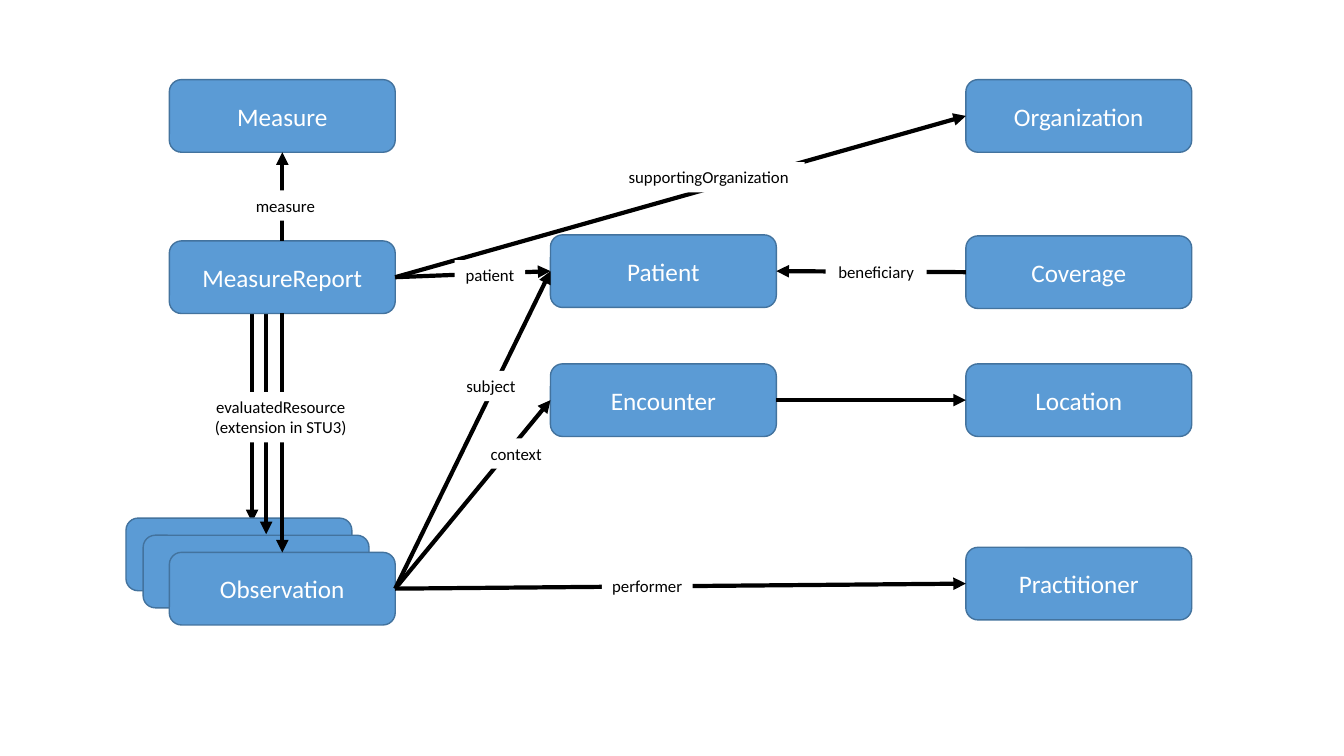
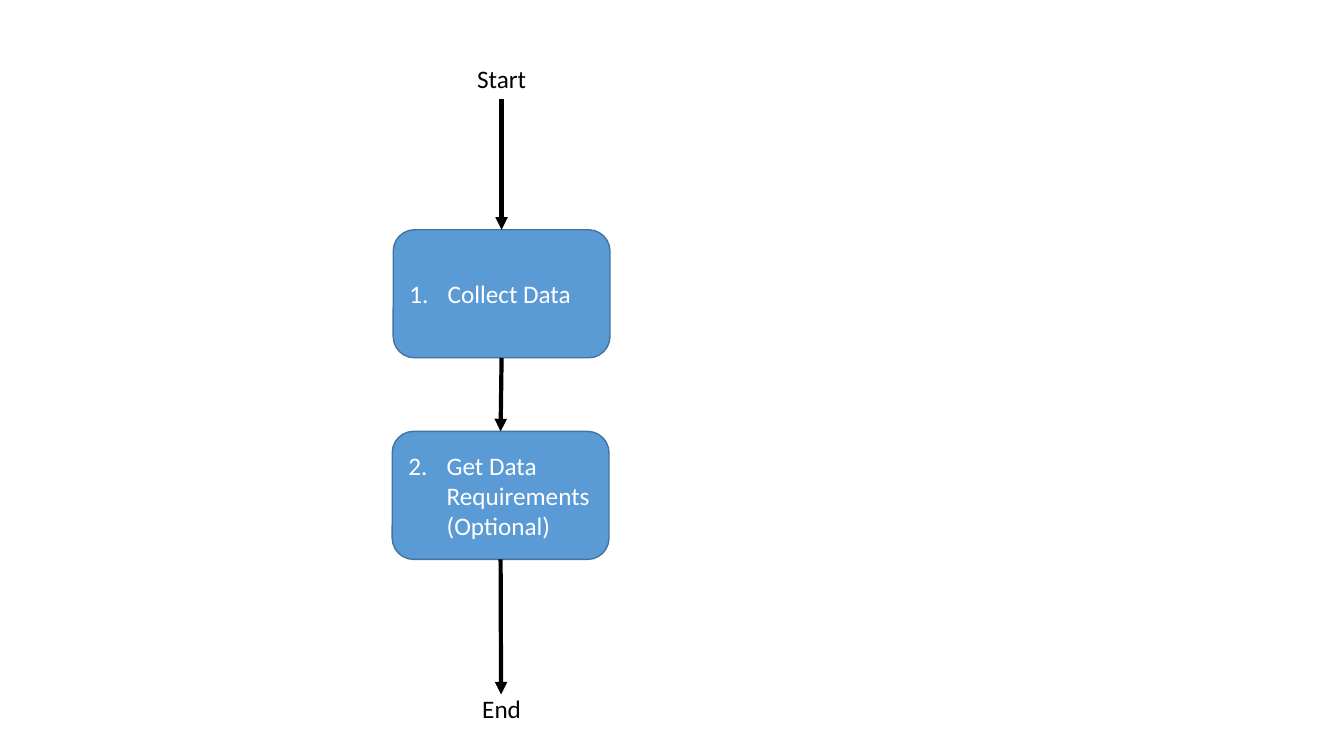
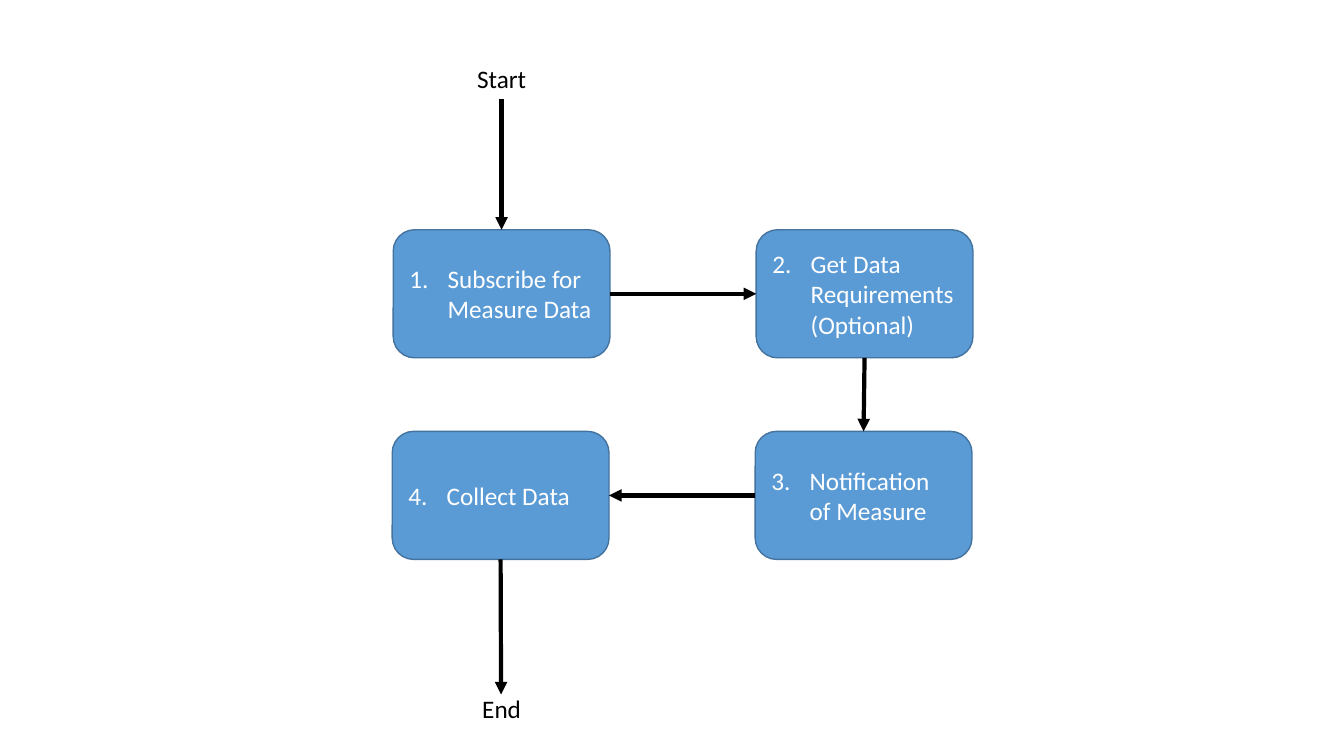
from dataclasses import dataclass

from lxml.etree import SubElement
from pptx import Presentation
from pptx.dml.color import RGBColor
from pptx.enum.shapes import MSO_CONNECTOR, MSO_SHAPE
from pptx.enum.text import MSO_ANCHOR, MSO_AUTO_SIZE, PP_ALIGN
from pptx.oxml.ns import qn
from pptx.util import Inches, Pt


@dataclass(frozen=True)
class Theme:
    font: str = "Calibri"
    body_size: float = 18
    label_size: float = 12
    box_fill: RGBColor = RGBColor(0x5B, 0x9B, 0xD5)
    box_line: RGBColor = RGBColor(0x43, 0x73, 0x9E)
    box_line_width: float = 1
    arrow_width: float = 3
    light: RGBColor = RGBColor(0xFF, 0xFF, 0xFF)
    dark: RGBColor = RGBColor(0x00, 0x00, 0x00)


THEME = Theme()
SLIDE_SIZE = (13.33, 7.5)
TOP, LEFT, BOTTOM, RIGHT = range(4)

RESOURCE_SIZE = (2.24, 0.72)
RESOURCE_COLUMNS = (1.68, 5.46, 9.58)
RESOURCES = {  # name: (column, top)
    "Coverage": (2, 2.34),
    "Organization": (2, 0.79),
    "Practitioner": (2, 5.43),
    "Observation": (0, 5.48),
    "Measure": (0, 0.79),
    "MeasureReport": (0, 2.39),
    "Patient": (1, 2.33),
    "Encounter": (1, 3.61),
    "Location": (2, 3.61),
}
HIDDEN_OBSERVATIONS = (  # box corner, arrow start, arrow end
    ((1.25, 5.14), (2.5, 2.81), (2.5, 5.18)),
    ((1.42, 5.31), (2.64, 2.93), (2.64, 5.3)),
)
REFERENCES = (
    ("MeasureReport", TOP, "Measure", BOTTOM),
    ("MeasureReport", BOTTOM, "Observation", TOP),
    ("MeasureReport", RIGHT, "Patient", LEFT),
    ("Observation", RIGHT, "Patient", LEFT),
    ("Observation", RIGHT, "Encounter", LEFT),
    ("Observation", RIGHT, "Practitioner", LEFT),
    ("Encounter", RIGHT, "Location", LEFT),
    ("Coverage", LEFT, "Patient", RIGHT),
    ("MeasureReport", RIGHT, "Organization", LEFT),
)
REFERENCE_LABELS = {
    "performer": (5.97, 5.66, 0.9, 0.3),
    "measure": (2.37, 1.89, 0.92, 0.3),
    "supportingOrganization": (6.08, 1.61, 1.9, 0.3),
    "subject": (4.52, 3.68, 0.7, 0.3),
    "patient": (4.51, 2.58, 0.7, 0.3),
    "beneficiary": (8.19, 2.55, 1, 0.3),
    "context": (4.72, 4.35, 0.8, 0.3),
    "evaluatedResource (extension in STU3)": (1.98, 3.89, 1.61, 0.5),
}

STEP_SIZE = (2.15, 1.27)
STEP_COLUMNS = (3.9, 7.5)
STEP_ROWS = (2.28, 4.28)
END_ARROW_TIP = (4.97, 6.89)
OPTIONAL_STEP = "Get Data Requirements\v(Optional)"


def write_text(shape, text, size, color, align):
    frame = shape.text_frame
    frame.word_wrap = True
    frame.text = text
    para = frame.paragraphs[0]
    para.alignment = align
    for span in para.runs:
        for name, value in {"name": THEME.font, "size": Pt(size)}.items():
            setattr(span.font, name, value)
        span.font.color.rgb = color
    return para


def add_box(slide, text, corner, size, align=PP_ALIGN.CENTER):
    """Add a rounded blue box and return it with its paragraph."""
    box = slide.shapes.add_shape(MSO_SHAPE.ROUNDED_RECTANGLE, *map(Inches, corner + size))
    box.shadow.inherit = False
    box.fill.solid()
    box.fill.fore_color.rgb = THEME.box_fill
    box.line.color.rgb = THEME.box_line
    box.line.width = Pt(THEME.box_line_width)
    para = write_text(box, text, THEME.body_size, THEME.light, align)
    box.text_frame.vertical_anchor = MSO_ANCHOR.MIDDLE
    return box, para


def add_step(slide, number, text, column, row):
    corner = (STEP_COLUMNS[column] - 0.01 * row, STEP_ROWS[row])
    box, para = add_box(slide, text, corner, STEP_SIZE, PP_ALIGN.LEFT)
    properties = para._p.get_or_add_pPr()
    indent = Inches(0.38)
    for name, value in {"marL": indent, "indent": -indent}.items():
        properties.set(name, str(value))
    SubElement(properties, qn("a:buFont"), typeface=THEME.font)
    SubElement(properties, qn("a:buAutoNum"), type="arabicPeriod", startAt=str(number))
    return box


def add_label(slide, text, place, size, fill=None):
    label = slide.shapes.add_textbox(*map(Inches, place))
    if fill is not None:
        label.fill.solid()
        label.fill.fore_color.rgb = fill
    write_text(label, text, size, THEME.dark, PP_ALIGN.CENTER)
    label.text_frame.auto_size = MSO_AUTO_SIZE.SHAPE_TO_FIT_TEXT
    return label


def add_arrow(slide, start=(0, 0), end=(0, 0), start_glue=None, end_glue=None):
    """Draw an arrow between points, or glue its ends to (shape, side) pairs."""
    arrow = slide.shapes.add_connector(MSO_CONNECTOR.STRAIGHT, *map(Inches, start + end))
    if start_glue:
        arrow.begin_connect(*start_glue)
    if end_glue:
        arrow.end_connect(*end_glue)
    arrow.line.color.rgb = THEME.dark
    arrow.line.width = Pt(THEME.arrow_width)
    SubElement(arrow.line._get_or_add_ln(), qn("a:tailEnd"), type="triangle")
    SubElement(arrow._element.spPr, qn("a:effectLst"))


def add_resource_slide(deck):
    slide = add_blank_slide(deck)
    for corner, start, end in HIDDEN_OBSERVATIONS:
        add_arrow(slide, start, end)
        add_box(slide, "Observation", corner, RESOURCE_SIZE)
    boxes = {}
    for name, (column, top) in RESOURCES.items():
        corner = (RESOURCE_COLUMNS[column], top)
        boxes[name], _ = add_box(slide, name, corner, RESOURCE_SIZE)
    for source, source_side, target, target_side in REFERENCES:
        add_arrow(slide, start_glue=(boxes[source], source_side),
                  end_glue=(boxes[target], target_side))
    for text, place in REFERENCE_LABELS.items():
        add_label(slide, text, place, THEME.label_size, THEME.light)


def add_flow_slide(deck, steps, sides):
    """Add numbered steps (text, column, row), each joined to the next by (side, side)."""
    slide = add_blank_slide(deck)
    boxes = [add_step(slide, number, *step) for number, step in enumerate(steps, 1)]
    for box, following, (leave, enter) in zip(boxes, boxes[1:], sides):
        add_arrow(slide, start_glue=(box, leave), end_glue=(following, enter))
    start_label, _ = [add_label(slide, text, (4.02, top, 1.91, 0.4), THEME.body_size)
                      for text, top in (("Start", 0.58), ("End", 6.83))]
    add_arrow(slide, start_glue=(start_label, BOTTOM), end_glue=(boxes[0], TOP))
    add_arrow(slide, end=END_ARROW_TIP, start_glue=(boxes[-1], BOTTOM))


def add_blank_slide(deck):
    return deck.slides.add_slide(deck.slide_layouts[6])


def main():
    deck = Presentation()
    deck.slide_width, deck.slide_height = map(Inches, SLIDE_SIZE)
    add_resource_slide(deck)
    add_flow_slide(deck, [("Collect Data", 0, 0), (OPTIONAL_STEP, 0, 1)], [(BOTTOM, TOP)])
    add_flow_slide(
        deck,
        [("Subscribe for Measure Data", 0, 0), (OPTIONAL_STEP, 1, 0),
         ("Notification of Measure", 1, 1), ("Collect Data", 0, 1)],
        [(RIGHT, LEFT), (BOTTOM, TOP), (LEFT, RIGHT)],
    )
    deck.save("out.pptx")


if __name__ == "__main__":
    main()
